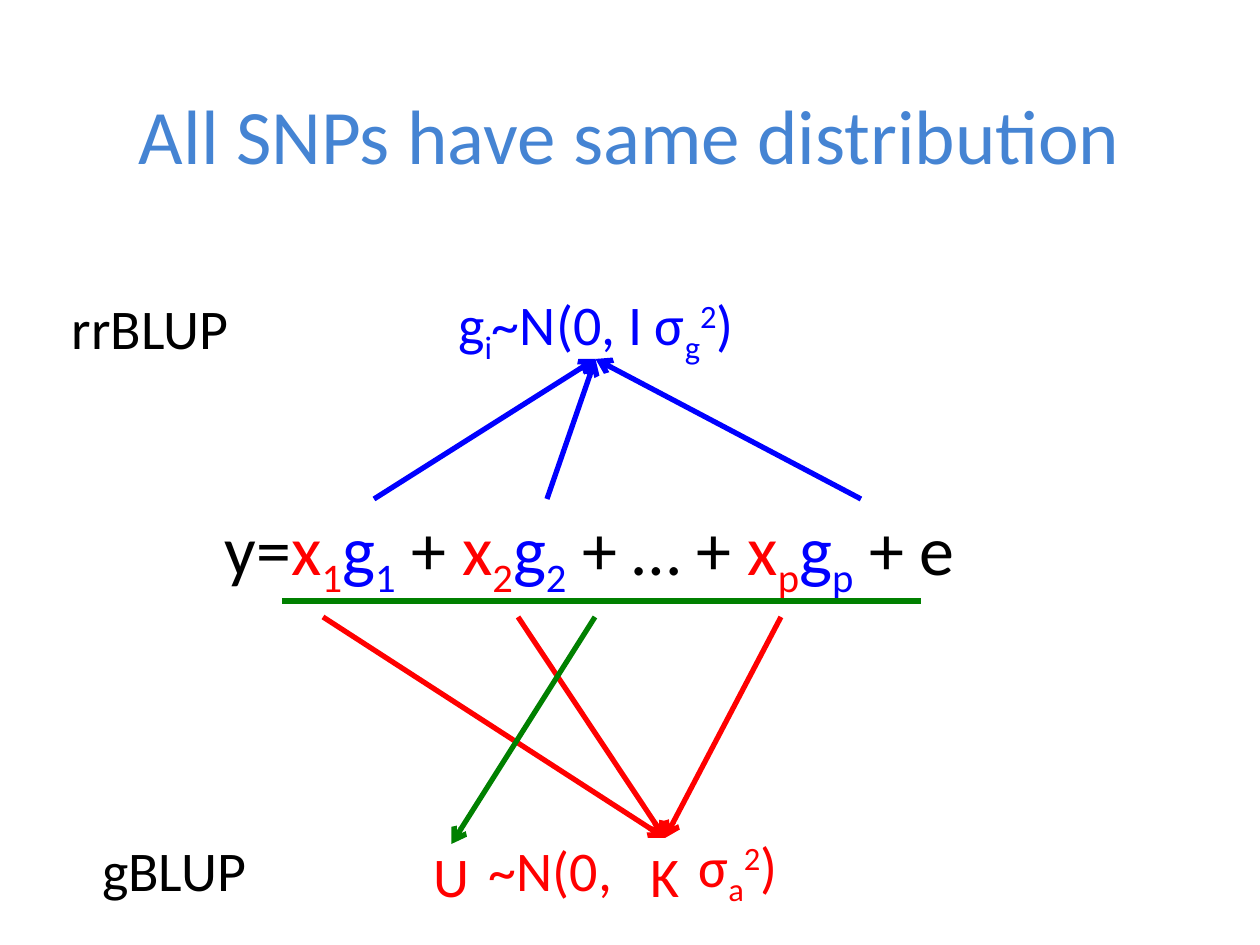
from lxml.etree import SubElement
from pptx import Presentation
from pptx.dml.color import RGBColor
from pptx.enum.shapes import MSO_CONNECTOR as Connector
from pptx.enum.text import MSO_ANCHOR as Anchor, PP_ALIGN as Align
from pptx.oxml.ns import qn
from pptx.util import Emu, Pt

PX_PER_INCH = 126
BLACK, RED, BLUE, GREEN, TITLE = "000000", "FF0000", "0000FF", "008000", "4584D3"
SUB, SUPER = -25, 30
TOP, BOTTOM = 0, 2


def px(length):
    return Emu(round(length * 914400 / PX_PER_INCH))


def colour(value):
    return RGBColor.from_string(value)


def term(letter, index, shade):
    """Return the spans of a letter with a subscript."""
    return [(letter, shade, 0), (index, shade, SUB)]


class SlideWriter:
    """Holds the font style and the slide being filled."""

    font = "Calibri"

    def __init__(self, slide):
        self.slide = slide

    def fill_text(self, shape, spans, size, align, **frame_format):
        frame = shape.text_frame
        for name, value in {"word_wrap": True, **frame_format}.items():
            setattr(frame, name, value)
        para = frame.paragraphs[0]
        para.alignment = align
        for text, shade, baseline in spans:
            span = para.add_run()
            span.text = text
            for name, value in {"name": self.font, "size": Pt(size)}.items():
                setattr(span.font, name, value)
            span.font.color.rgb = colour(shade)
            if baseline:
                span._r.get_or_add_rPr().set("baseline", str(baseline * 1000))

    def title(self, text, left, top, width, height):
        shape = self.slide.shapes.title
        place = {"left": left, "top": top, "width": width, "height": height}
        for name, value in place.items():
            setattr(shape, name, px(value))
        self.fill_text(shape, [(text, TITLE, 0)], 44, Align.CENTER,
                       vertical_anchor=Anchor.MIDDLE)

    def text(self, spans, left, top, width, height=63, size=32,
             align=Align.CENTER, anchor=Anchor.MIDDLE, inset=13):
        box = self.slide.shapes.add_textbox(*map(px, (left, top, width, height)))
        self.fill_text(box, spans, size, align,
                       vertical_anchor=anchor, margin_left=px(inset))
        return box

    def line(self, start, end, shade, arrow=True, target=None, site=TOP):
        """Draw a line; a target box is joined at the given side."""
        line = self.slide.shapes.add_connector(
            Connector.STRAIGHT, *map(px, (*start, *end)))
        if target is not None:
            line.end_connect(target, site)
        line.line.color.rgb = colour(shade)
        line.line.width = Pt(3)
        if arrow:
            SubElement(line.line._get_or_add_ln(), qn("a:tailEnd"), type="arrow")
        SubElement(line._element.spPr, qn("a:effectLst"))


def main():
    deck = Presentation()
    deck.slide_width, deck.slide_height = px(1260), px(945)
    page = SlideWriter(deck.slides.add_slide(deck.slide_layouts[5]))

    page.title("All SNPs have same distribution", 63, 47, 1134, 173)

    model = [
        ("y=", BLACK, 0), *term("x", "1", RED), *term("g", "1", BLUE),
        (" + ", BLACK, 0), *term("x", "2", RED), *term("g", "2", BLUE),
        (" + … + ", BLACK, 0), *term("x", "p", RED), *term("g", "p", BLUE),
        (" + e", BLACK, 0),
    ]
    page.text(model, 212, 499, 932, 97, size=40, align=Align.LEFT,
              anchor=Anchor.TOP)

    page.text([("~N(0,", RED, 0)], 421, 838, 211, inset=60)
    for marker_x in (781, 518, 323):
        page.line((marker_x, 617), (665, 838), RED)

    effect_prior = page.text(
        [*term("g", "i", BLUE), ("~N(0, I σ", BLUE, 0), ("g", BLUE, SUB),
         ("2", BLUE, SUPER), (")", BLUE, 0)], 397, 296, 397)
    for effect_x in (374, 547, 861):
        page.line((effect_x, 499), (595, 359), BLUE,
                  target=effect_prior, site=BOTTOM)

    page.line((282, 601), (921, 601), GREEN, arrow=False)
    breeding_value = page.text([("U", RED, 0)], 403, 844, 97)
    page.line((595, 617), (452, 844), GREEN, target=breeding_value)

    page.text([("K", RED, 0)], 620, 844, 89)
    page.text([*term("σ", "a", RED), ("2", RED, SUPER), (")", RED, 0)],
              665, 838, 145)

    page.text([("rrBLUP", BLACK, 0)], 32, 296, 236)
    page.text([("gBLUP", BLACK, 0)], 63, 838, 222)

    deck.save("out.pptx")


if __name__ == "__main__":
    main()
